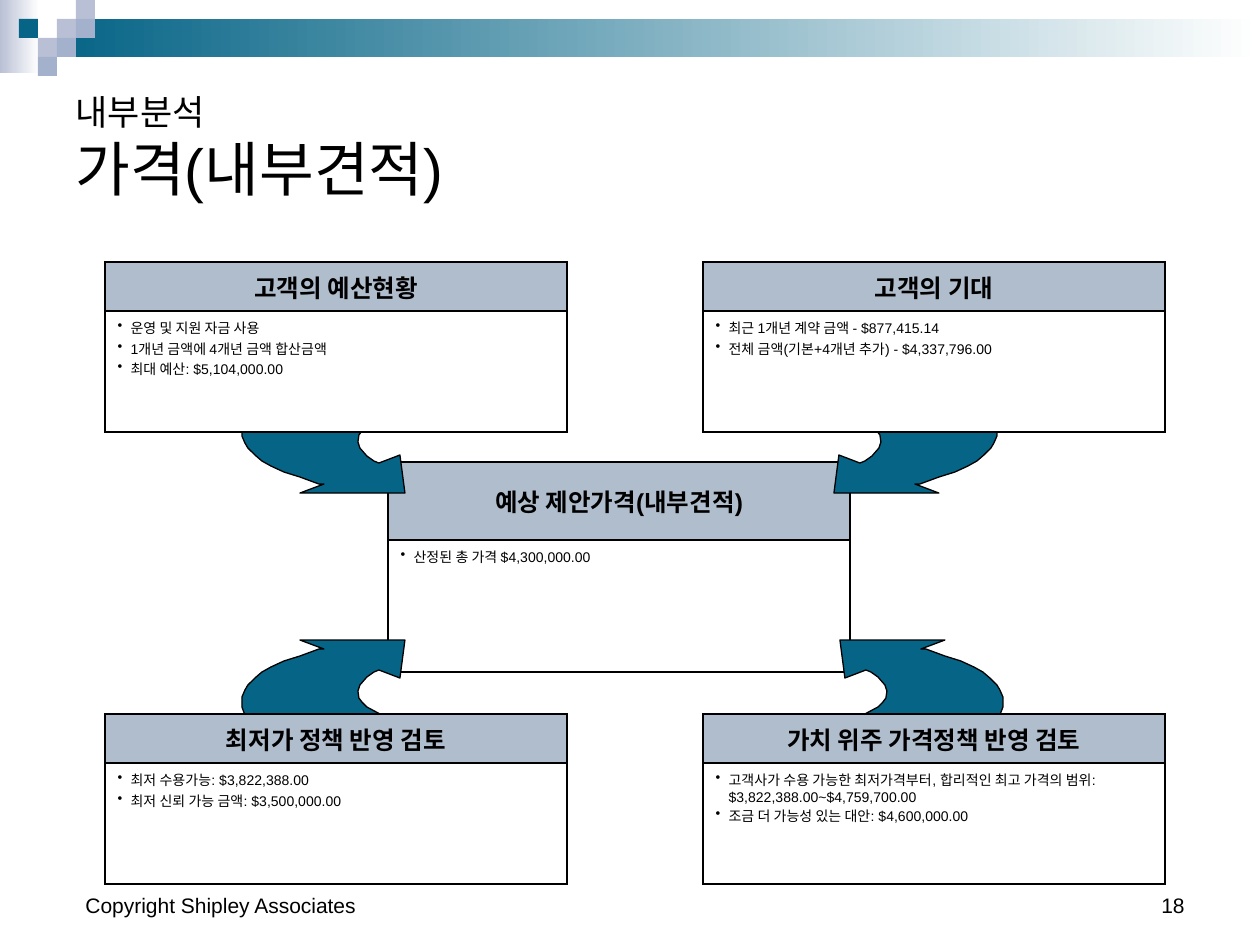
import pptx
import pptx.dml.color
import pptx.enum.shapes
import pptx.enum.text
import pptx.oxml
import pptx.oxml.ns
import pptx.util

SCALE = 914400 / 126  # EMU in one px
FONT = "Arial"
COLORS = {
    "teal": "066486",
    "lavender": "B9C0D5",
    "blue_gray": "A4B1CC",
    "header": "B0BDCD",
    "white": "FFFFFF",
    "black": "000000",
}
ALIGN = pptx.enum.text.PP_ALIGN
ANCHOR = pptx.enum.text.MSO_ANCHOR

# Curved arrow that leaves a box downwards and points right
ARROW_WIDTH, ARROW_HEIGHT = 163, 105
ARROW_OUTLINE = [
    (23, 0), (14, 11), (6, 21), (3, 30), (0, 38), (0, 48), (3, 55), (6, 60),
    (13, 67), (20, 73), (29, 78), (42, 84), (58, 89), (77, 96), (82, 96),
    (58, 105), (163, 105), (158, 67), (137, 75), (132, 73), (125, 68),
    (118, 60), (116, 54), (117, 47), (120, 43), (125, 38), (140, 30), (147, 26),
]


def px(length):
    return pptx.util.Emu(round(length * SCALE))


def color(name):
    return pptx.dml.color.RGBColor.from_string(COLORS[name])


def style_font(font, size, bold=False):
    font.name = FONT
    font.size = pptx.util.Pt(size)
    font.bold = bold
    font.color.rgb = color("black")


def add_rectangle(page, box, *fill_names):
    """One colour gives a solid fill, two give a left-to-right gradient."""
    shape = page.shapes.add_shape(
        pptx.enum.shapes.MSO_SHAPE.RECTANGLE, *map(px, box))
    shape.shadow.inherit = False
    shape.line.fill.background()
    if len(fill_names) == 1:
        shape.fill.solid()
        shape.fill.fore_color.rgb = color(fill_names[0])
    else:
        shape.fill.gradient()
        shape.fill.gradient_angle = 0
        for stop, name in zip(shape.fill.gradient_stops, fill_names):
            stop.color.rgb = color(name)


def add_banner(page, box):
    left, top, width, height = box
    unit = 19
    add_rectangle(page, (left, top, 39, height), "lavender", "white")
    add_rectangle(page, (left + 3 * unit, top + unit, width - 3 * unit, 2 * unit),
                  "teal", "white")
    # Squares by column and row
    squares = [
        (3, 1, "lavender"), (4, 0, "lavender"), (4, 1, "blue_gray"),
        (2, 2, "lavender"), (1, 1, "teal"), (3, 2, "blue_gray"),
        (2, 3, "blue_gray"),
    ]
    for column, row, name in squares:
        add_rectangle(
            page, (left + column * unit, top + row * unit, unit, unit), name)


def add_title(page, box, lines):
    title = page.shapes.title
    title.left, title.top, title.width, title.height = map(px, box)
    frame = title.text_frame
    frame.word_wrap = True
    frame.auto_size = pptx.enum.text.MSO_AUTO_SIZE.NONE
    frame.vertical_anchor = ANCHOR.BOTTOM
    para = frame.paragraphs[0]
    para.alignment = ALIGN.LEFT
    for index, (text, size) in enumerate(lines):
        if index:
            para.add_line_break()
        span = para.add_run()
        span.text = text
        style_font(span.font, size)


def add_footer(page, box, text, alignment):
    frame = page.shapes.add_textbox(*map(px, box)).text_frame
    frame.word_wrap = True
    frame.vertical_anchor = ANCHOR.BOTTOM
    para = frame.paragraphs[0]
    para.text = text
    para.alignment = alignment
    style_font(para.font, 12)


def add_arrow(page, box, flip_x, flip_y):
    left, top, width, height = box
    points = [
        (left + (width - x if flip_x else x), top + (height - y if flip_y else y))
        for x, y in ARROW_OUTLINE
    ]
    builder = page.shapes.build_freeform(*points[0], scale=SCALE)
    builder.add_line_segments(points[1:], close=True)
    arrow = builder.convert_to_shape()
    arrow.shadow.inherit = False
    arrow.fill.solid()
    arrow.fill.fore_color.rgb = color("teal")
    arrow.line.color.rgb = color("black")
    arrow.line.width = pptx.util.Pt(0.75)


def style_cell(cell, fill_name):
    properties = cell._tc.get_or_add_tcPr()
    for side in ("lnL", "lnR", "lnT", "lnB"):
        properties.append(pptx.oxml.parse_xml(
            f'<a:{side} {pptx.oxml.ns.nsdecls("a")} w="12700"><a:solidFill>'
            f'<a:srgbClr val="{COLORS["black"]}"/></a:solidFill></a:{side}>'))
    cell.fill.solid()
    cell.fill.fore_color.rgb = color(fill_name)


def add_bullet(para):
    properties = para._p.get_or_add_pPr()
    indent = px(13)
    properties.set("marL", str(indent))
    properties.set("indent", str(-indent))
    properties.append(pptx.oxml.parse_xml(
        f'<a:buChar {pptx.oxml.ns.nsdecls("a")} char="•"/>'))


def add_card(page, box, header_height, heading, items):
    left, top, width, height = box
    table = page.shapes.add_table(2, 1, *map(px, box)).table
    table.first_row = False
    table.horz_banding = False
    table.columns[0].width = px(width)
    table.rows[0].height = px(header_height)
    table.rows[1].height = px(height - header_height)

    # Heading
    header = table.cell(0, 0)
    style_cell(header, "header")
    header.vertical_anchor = ANCHOR.MIDDLE
    para = header.text_frame.paragraphs[0]
    para.text = heading
    para.alignment = ALIGN.CENTER
    style_font(para.font, 14, bold=True)

    # Bulleted list
    body = table.cell(1, 0)
    style_cell(body, "white")
    frame = body.text_frame
    for index, item in enumerate(items):
        para = frame.add_paragraph() if index else frame.paragraphs[0]
        para.text = item
        add_bullet(para)
        style_font(para.font, 8)


def main():
    deck = pptx.Presentation()
    deck.slide_width, deck.slide_height = px(1260), px(945)
    page = deck.slides.add_slide(deck.slide_layouts[5])

    add_banner(page, (0, 0, 1260, 73))
    add_title(page, (63, 63, 1134, 147), [("내부분석", 20), ("가격(내부견적)", 34)])
    add_footer(page, (903, 861, 294, 63), "18", ALIGN.RIGHT)
    add_footer(page, (73, 861, 400, 63), "Copyright Shipley Associates", ALIGN.LEFT)

    # Centre card, then the arrows into it
    add_card(page, (388, 462, 462, 210), 78, "예상 제안가격(내부견적)",
             ["산정된 총 가격 $4,300,000.00"])
    for left, top, flip_x, flip_y in [
        (242, 388, False, False), (834, 388, True, False),
        (242, 640, False, True), (840, 640, True, True),
    ]:
        add_arrow(page, (left, top, ARROW_WIDTH, ARROW_HEIGHT), flip_x, flip_y)

    # Corner cards, which cover the arrow tails
    for left, top, heading, items in [
        (105, 262, "고객의 예산현황",
         ["운영 및 지원 자금 사용", "1개년 금액에 4개년 금액 합산금액",
          "최대 예산: $5,104,000.00"]),
        (703, 714, "가치 위주 가격정책 반영 검토",
         ["고객사가 수용 가능한 최저가격부터, 합리적인 최고 가격의 범위: "
          "$3,822,388.00~$4,759,700.00",
          "조금 더 가능성 있는 대안: $4,600,000.00"]),
        (105, 714, "최저가 정책 반영 검토",
         ["최저 수용가능: $3,822,388.00", "최저 신뢰 가능 금액: $3,500,000.00"]),
        (703, 262, "고객의 기대",
         ["최근 1개년 계약 금액 - $877,415.14",
          "전체 금액(기본+4개년 추가) - $4,337,796.00"]),
    ]:
        add_card(page, (left, top, 462, 170), 49, heading, items)

    deck.save("out.pptx")


if __name__ == "__main__":
    main()
